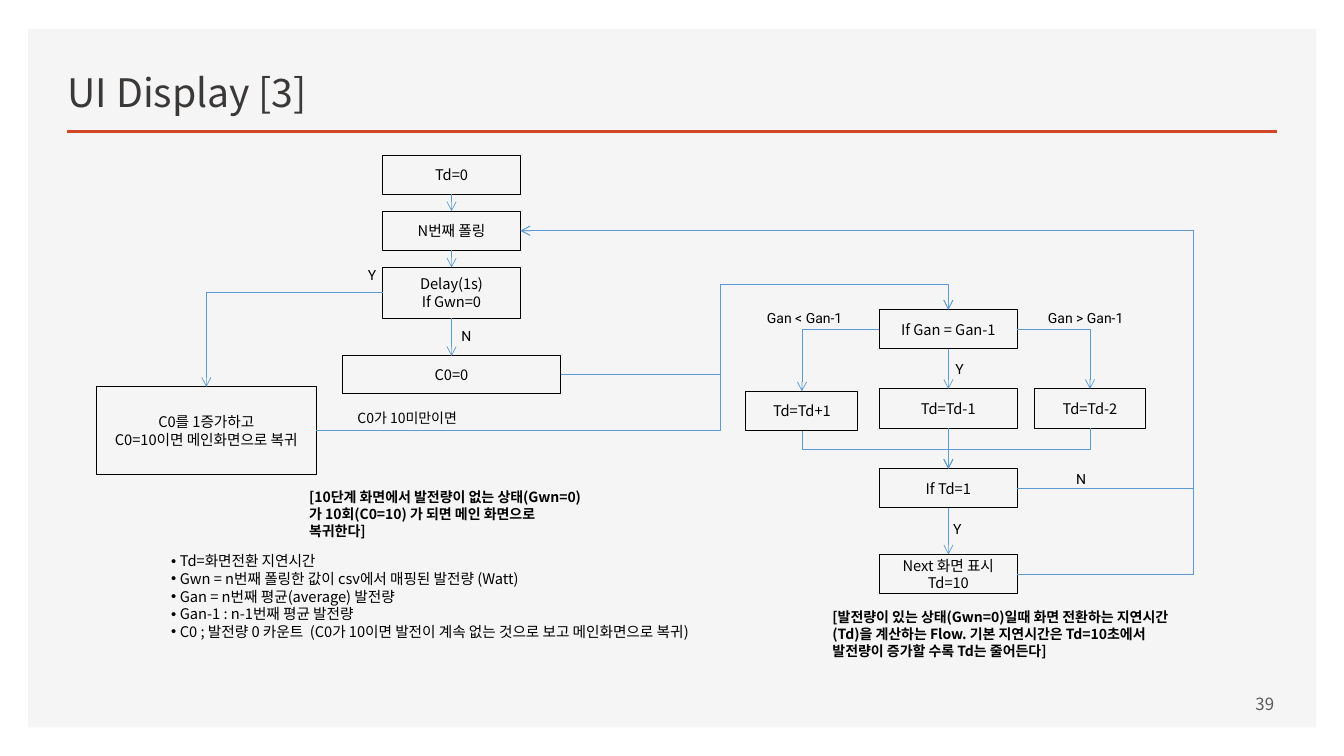
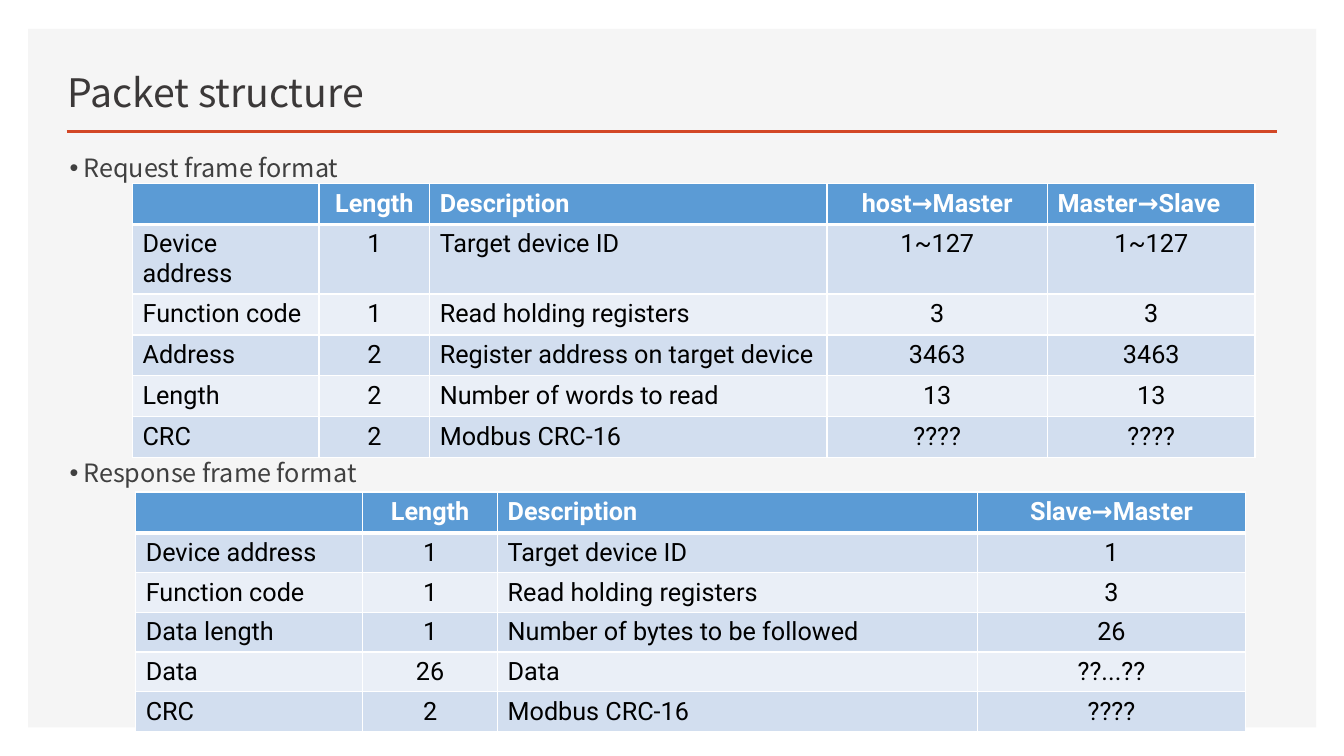
from lxml.etree import SubElement
from pptx import Presentation
from pptx.dml.color import RGBColor
from pptx.enum.shapes import MSO_CONNECTOR, MSO_SHAPE
from pptx.enum.text import MSO_ANCHOR, MSO_AUTO_SIZE, PP_ALIGN
from pptx.oxml import parse_xml
from pptx.oxml.ns import nsdecls, qn
from pptx.util import Cm, Pt

COLORS = {
    "panel": "F5F5F5", "rule": "D24726", "title": "3B3838", "body": "404040",
    "page": "595959", "ink": "000000", "white": "FFFFFF", "flow": "5B9BD5",
    "header": "5B9BD5", "odd": "D2DEEF", "even": "EAEFF7",
}
SANS, ROBOTO = "Noto Sans CJK KR", "Roboto"
STYLES = {
    "title": ("title", {"name": SANS, "size": Pt(28), "bold": False}),
    "section": ("body", {"name": SANS, "size": Pt(18)}),
    "page": ("page", {"name": SANS, "size": Pt(12)}),
    "step": ("ink", {"name": SANS, "size": Pt(10.5)}),
    "branch": ("ink", {"name": ROBOTO, "size": Pt(10)}),
    "condition": ("ink", {"name": SANS, "size": Pt(10)}),
    "note": ("ink", {"name": SANS, "size": Pt(10), "bold": True}),
    "head": ("white", {"name": ROBOTO, "size": Pt(18), "bold": True}),
    "cell": ("ink", {"name": ROBOTO, "size": Pt(18), "bold": False}),
}
ALIGN = {"l": PP_ALIGN.LEFT, "c": PP_ALIGN.CENTER, "r": PP_ALIGN.RIGHT}
TOP, LEFT, BOTTOM, RIGHT = range(4)


def color(name):
    return RGBColor.from_string(COLORS[name])


def apply(target, values):
    for key, value in values.items():
        setattr(target, key, value)


def place(shape, *box):
    apply(shape, dict(zip(("left", "top", "width", "height"), box)))


def write(frame, lines, style, align="l", anchor=MSO_ANCHOR.TOP):
    apply(frame, {"word_wrap": True, "auto_size": MSO_AUTO_SIZE.NONE,
                  "vertical_anchor": anchor})
    ink, values = STYLES[style]
    for index, line in enumerate(lines):
        paragraph = frame.add_paragraph() if index else frame.paragraphs[0]
        paragraph.alignment = ALIGN[align]
        run = paragraph.add_run()
        run.text = line
        apply(run.font, values)
        run.font.color.rgb = color(ink)
        SubElement(run.font._element, qn("a:ea"), typeface=values["name"])


def bullet_list(slide, lines, style, box, indent, spacing, gap=0):
    body = slide.placeholders[1]
    place(body, *map(Cm, box))
    write(body.text_frame, lines, style)
    for index, paragraph in enumerate(body.text_frame.paragraphs):
        properties = paragraph._p.get_or_add_pPr()
        properties.set("marL", str(Cm(indent)))
        properties.set("indent", str(-Cm(indent)))
        SubElement(properties, qn("a:buChar"), char="•")
        apply(paragraph, {"line_spacing": spacing, "space_after": Pt(0),
                          "space_before": Pt(gap if index else 0)})


def text_box(slide, text, style, box, align="l", anchor=MSO_ANCHOR.TOP):
    frame = slide.shapes.add_textbox(*map(Cm, box)).text_frame
    write(frame, [text], style, align, anchor)


def line(slide, start, end, ink, width, kind=MSO_CONNECTOR.STRAIGHT, arrow=False):
    connector = slide.shapes.add_connector(kind, *start, *end)
    connector.line.color.rgb = color(ink)
    connector.line.width = Pt(width)
    if arrow:
        SubElement(connector.line._get_or_add_ln(), qn("a:tailEnd"), type="arrow")
    SubElement(connector._element.spPr, qn("a:effectLst"))
    return connector


def step(slide, lines, center, top, width=3.48, height=0.99):
    box = slide.shapes.add_shape(
        MSO_SHAPE.RECTANGLE, *map(Cm, (center - width / 2, top, width, height)))
    box.shadow.inherit = False
    box.fill.background()
    box.line.color.rgb = color("ink")
    box.line.width = Pt(0.75)
    write(box.text_frame, lines, "step", "c", MSO_ANCHOR.MIDDLE)
    return box


def site(box, side):
    middle_x, middle_y = box.left + box.width // 2, box.top + box.height // 2
    return ((middle_x, box.top), (box.left, middle_y),
            (middle_x, box.top + box.height), (box.left + box.width, middle_y))[side]


def bend(connector, start, end, from_side, turns, legs):
    dx, dy = end[0] - start[0], end[1] - start[1]
    width, height = abs(dx), abs(dy)
    if from_side == BOTTOM:
        width, height = height, width
        rotation, flip_h, flip_v = (270, True, False) if dx > 0 else (90, False, False)
    elif legs == 2 and dx < 0:
        rotation, flip_h, flip_v = 180, False, dy > 0
    else:
        rotation, flip_h, flip_v = 0, dx < 0, dy < 0
    place(connector, (start[0] + end[0] - width) // 2,
          (start[1] + end[1] - height) // 2, width, height)
    properties = connector._element.spPr
    transform = properties.find(qn("a:xfrm"))
    for key, value in (("rot", rotation * 60000), ("flipH", int(flip_h)),
                       ("flipV", int(flip_v))):
        transform.set(key, str(value))
    geometry = properties.find(qn("a:prstGeom"))
    geometry.set("prst", f"bentConnector{legs}")
    adjustments = geometry.find(qn("a:avLst"))
    if adjustments is None:
        adjustments = SubElement(geometry, qn("a:avLst"))
    axis = 1 if from_side == BOTTOM else 0
    for number, turn in enumerate(turns, 1):
        share = (Cm(turn) - start[axis]) / (end[axis] - start[axis])
        SubElement(adjustments, qn("a:gd"), name=f"adj{number}",
                   fmla=f"val {round(share * 100000)}")
        axis = 1 - axis


def route(slide, source, from_side, target, to_side, turns=()):
    start, end = site(source, from_side), site(target, to_side)
    straight = not turns and from_side % 2 == to_side % 2
    kind = MSO_CONNECTOR.STRAIGHT if straight else MSO_CONNECTOR.ELBOW
    connector = line(slide, start, end, "flow", 0.5, kind, True)
    connector.begin_connect(source, from_side)
    connector.end_connect(target, to_side)
    if not straight:
        bend(connector, start, end, from_side, turns, len(turns) + 2)


def set_borders(cell, top, bottom):
    properties = cell._tc.get_or_add_tcPr()
    widths = {"lnL": 1, "lnR": 1, "lnT": top, "lnB": bottom}
    for index, (edge, width) in enumerate(widths.items()):
        properties.insert(index, parse_xml(
            f'<a:{edge} {nsdecls("a")} w="{Pt(width)}"><a:solidFill>'
            f'<a:srgbClr val="{COLORS["white"]}"/></a:solidFill></a:{edge}>'))


def frame_table(slide, left, top, widths, heights, rows, head_align, body_align):
    table = slide.shapes.add_table(
        len(rows), len(widths),
        *map(Cm, (left, top, sum(widths), sum(heights)))).table
    for column, width in zip(table.columns, widths):
        column.width = Cm(width)
    for r, (row, height) in enumerate(zip(rows, heights)):
        table.rows[r].height = Cm(height)
        fill = ("even", "odd")[r % 2] if r else "header"
        for c, (text, align) in enumerate(zip(row, body_align if r else head_align)):
            cell = table.cell(r, c)
            cell.fill.solid()
            cell.fill.fore_color.rgb = color(fill)
            set_borders(cell, 3 if r == 1 else 1, 1 if r else 3)
            if text:
                write(cell.text_frame, [text], "cell" if r else "head", align)


def add_slide(deck, title):
    slide = deck.slides.add_slide(deck.slide_layouts[1])
    place(slide.shapes.title, *map(Cm, (1.45, 1.26, 19.1, 1.78)))
    write(slide.shapes.title.text_frame, [title], "title", "l", MSO_ANCHOR.BOTTOM)
    return slide


def share_backdrop(slide):
    panel = slide.shapes.add_shape(
        MSO_SHAPE.RECTANGLE, *map(Cm, (0.71, 0.73, 32.46, 17.6)))
    panel.shadow.inherit = False
    panel.fill.solid()
    panel.fill.fore_color.rgb = color("panel")
    panel.line.fill.background()
    rule = line(slide, (Cm(1.68), Cm(3.32)), (Cm(32.18), Cm(3.32)), "rule", 2)
    first = slide.slide_layout.shapes[0].element
    for shape in (panel, rule):
        first.addprevious(shape.element)


def draw_flow(slide):
    left, right = 11.38, 23.9
    start = step(slide, ["Td=0"], left, 3.91)
    polling = step(slide, ["N번째 폴링"], left, 5.32)
    delay = step(slide, ["Delay(1s)", "If Gwn=0"], left, 6.74, height=1.28)
    reset = step(slide, ["C0=0"], left, 8.97, 5.5, 0.95)
    count = step(slide, ["C0를 1증가하고", "C0=10이면 메인화면으로 복귀"],
                 5.2, 9.75, 5.54, 2.21)
    compare = step(slide, ["If Gan = Gan-1"], right, 7.8)
    plus_one = step(slide, ["Td=Td+1"], 20.21, 9.86, 2.82)
    minus_one = step(slide, ["Td=Td-1"], right, 9.8)
    minus_two = step(slide, ["Td=Td-2"], 27.47, 9.8, 2.82)
    check = step(slide, ["If Td=1"], right, 11.81)
    display = step(slide, ["Next 화면 표시", "Td=10"], right, 13.97)

    for source, target in ((start, polling), (polling, delay), (delay, reset),
                           (compare, minus_one), (minus_one, check), (check, display)):
        route(slide, source, BOTTOM, target, TOP)
    route(slide, delay, LEFT, count, TOP)
    route(slide, compare, LEFT, plus_one, TOP)
    route(slide, compare, RIGHT, minus_two, TOP)
    for source in (reset, count):
        route(slide, source, RIGHT, compare, TOP, (18.15, 7.16))
    for source in (plus_one, minus_two):
        route(slide, source, BOTTOM, check, TOP, (11.32,))
    for source in (check, display):
        route(slide, source, RIGHT, polling, RIGHT, (30.07,))

    for text, x, y, width in (
            ("Y", 9.02, 6.58, 0.7), ("N", 11.38, 8.13, 0.7), ("Y", 23.83, 8.95, 0.7),
            ("Y", 23.77, 13.0, 0.7), ("N", 26.87, 11.73, 0.7),
            ("Gan < Gan-1", 19.08, 7.67, 3.05), ("Gan > Gan-1", 26.16, 7.67, 3.05)):
        text_box(slide, text, "branch", (x, y, width, 0.69))
    text_box(slide, "C0가 10미만이면", "condition", (8.76, 10.19, 3.58, 0.69))


def flow_slide(deck):
    slide = add_slide(deck, "UI Display [3]")
    share_backdrop(slide)
    draw_flow(slide)
    bullet_list(slide, [
        "Td=화면전환 지연시간",
        "Gwn = n번째 폴링한 값이 csv에서 매핑된 발전량 (Watt)",
        "Gan = n번째 평균(average) 발전량",
        "Gan-1 : n-1번째 평균 발전량",
        "C0 ; 발전량 0 카운트  (C0가 10이면 발전이 계속 없는 것으로 보고 메인화면으로 복귀)",
    ], "step", (4.06, 13.79, 15.21, 2.49), 0.22, 1.0)
    text_box(slide, "[10단계 화면에서 발전량이 없는 상태(Gwn=0)가 10회(C0=10) 가 되면 "
             "메인 화면으로 복귀한다]", "note", (7.54, 12.19, 7.37, 1.55))
    text_box(slide, "[발전량이 있는 상태(Gwn=0)일때 화면 전환하는 지연시간(Td)을 계산하는 "
             "Flow. 기본 지연시간은 Td=10초에서 발전량이 증가할 수록 Td는 줄어든다]",
             "note", (20.73, 15.21, 9.37, 1.55))
    text_box(slide, "39", "page", (23.27, 17.22, 9.09, 1.02), "r", MSO_ANCHOR.MIDDLE)


def packet_slide(deck):
    slide = add_slide(deck, "Packet structure")
    bullet_list(slide, ["Request frame format", "Response frame format"],
                "section", (1.5, 3.33, 12.55, 14.1), 0.35, 1.5, 185.5)
    frame_table(slide, 3.42, 12.4, (5.72, 3.4, 12.09, 6.76), [0.99] * 6, (
        ("", "Length", "Description", "Slave→Master"),
        ("Device address", "1", "Target device ID", "1"),
        ("Function code", "1", "Read holding registers", "3"),
        ("Data length", "1", "Number of bytes to be followed", "26"),
        ("Data", "26", "Data", "??...??"),
        ("CRC", "2", "Modbus CRC-16", "????"),
    ), "lclc", "lclc")
    frame_table(slide, 3.34, 4.63, (4.7, 2.79, 10.01, 5.56, 5.23),
                [1.03, 1.75] + [1.03] * 4, (
        ("", "Length", "Description", "host→Master", "Master→Slave"),
        ("Device address", "1", "Target device ID", "1~127", "1~127"),
        ("Function code", "1", "Read holding registers", "3", "3"),
        ("Address", "2", "Register address on target device", "3463", "3463"),
        ("Length", "2", "Number of words to read", "13", "13"),
        ("CRC", "2", "Modbus CRC-16", "????", "????"),
    ), "lclcl", "lclcc")


def main():
    deck = Presentation()
    apply(deck, {"slide_width": Cm(33.87), "slide_height": Cm(19.05)})
    flow_slide(deck)
    packet_slide(deck)
    deck.save("out.pptx")


if __name__ == "__main__":
    main()
